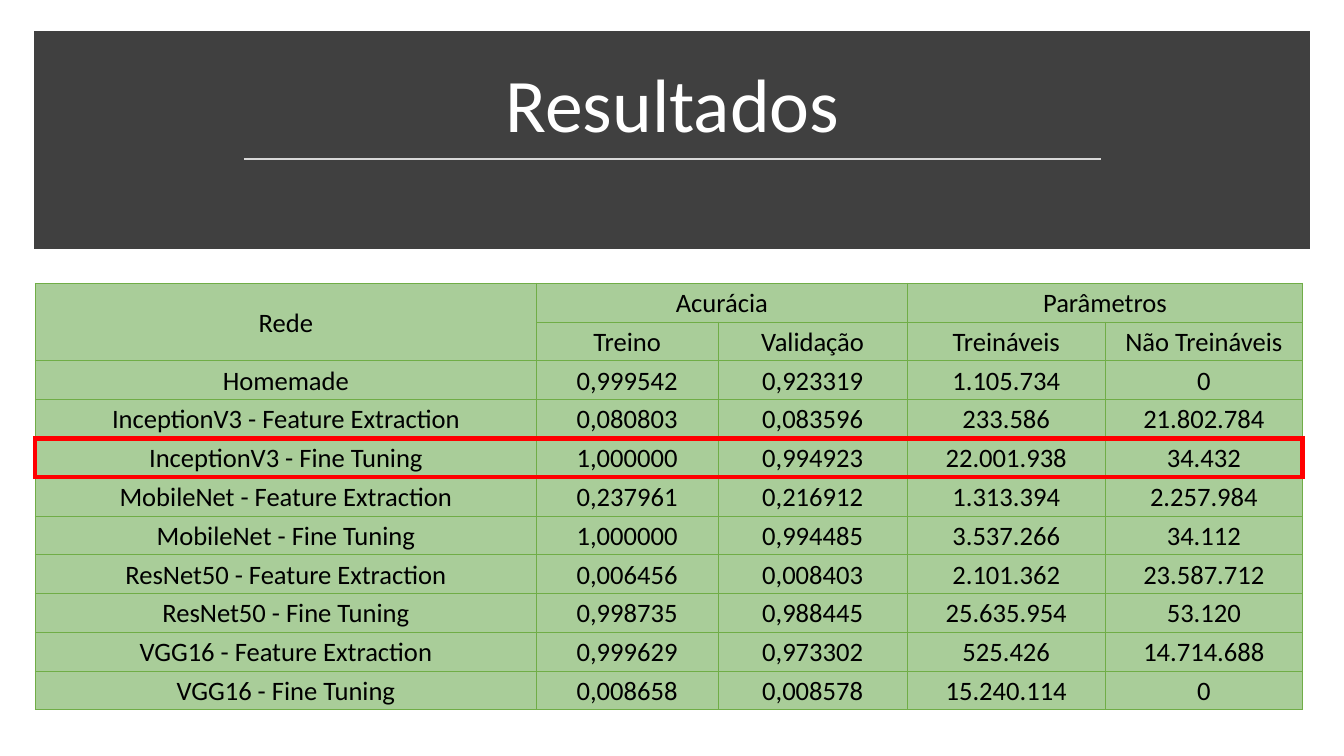
import dataclasses
import typing

import pptx
import pptx.dml.color
import pptx.enum.shapes
import pptx.enum.text
import pptx.oxml
import pptx.oxml.ns
import pptx.shapes.autoshape
import pptx.slide
import pptx.table
import pptx.util

RGBColor = pptx.dml.color.RGBColor
DARK_GRAY = RGBColor(0x40, 0x40, 0x40)
LIGHT_GRAY = RGBColor(0xD9, 0xD9, 0xD9)
WHITE = RGBColor(0xFF, 0xFF, 0xFF)
BLACK = RGBColor(0x00, 0x00, 0x00)
RED = RGBColor(0xFF, 0x00, 0x00)
CELL_GREEN = RGBColor(0xA9, 0xCD, 0x99)
BORDER_GREEN = RGBColor(0x70, 0xAD, 0x47)

FONT = "Calibri"
PX_PER_INCH = 200
TABLE_LEFT, TABLE_TOP = 70, 562
COLUMN_WIDTHS = (994, 360, 376, 392, 392)
ROW_HEIGHT = 77
HIGHLIGHTED_ROW = 4
CELL_MARGIN = 4
BORDER_POINTS = 0.5


class Result(typing.NamedTuple):
    network: str
    training: str
    validation: str
    trainable: str
    frozen: str


class Merge(typing.NamedTuple):
    top: int
    left: int
    bottom: int
    right: int


@dataclasses.dataclass(frozen=True)
class Frame:
    left: int
    top: int
    width: int
    height: int
    line: RGBColor
    line_points: float
    fill: RGBColor | None = None


ROWS = (
    Result("Rede", "Acurácia", "", "Parâmetros", ""),
    Result("", "Treino", "Validação", "Treináveis", "Não Treináveis"),
    Result("Homemade", "0,999542", "0,923319", "1.105.734", "0"),
    Result("InceptionV3 - Feature Extraction", "0,080803", "0,083596", "233.586", "21.802.784"),
    Result("InceptionV3 - Fine Tuning", "1,000000", "0,994923", "22.001.938", "34.432"),
    Result("MobileNet - Feature Extraction", "0,237961", "0,216912", "1.313.394", "2.257.984"),
    Result("MobileNet - Fine Tuning", "1,000000", "0,994485", "3.537.266", "34.112"),
    Result("ResNet50 - Feature Extraction", "0,006456", "0,008403", "2.101.362", "23.587.712"),
    Result("ResNet50 - Fine Tuning", "0,998735", "0,988445", "25.635.954", "53.120"),
    Result("VGG16 - Feature Extraction", "0,999629", "0,973302", "525.426", "14.714.688"),
    Result("VGG16 - Fine Tuning", "0,008658", "0,008578", "15.240.114", "0"),
)
MERGES = (Merge(0, 0, 1, 0), Merge(0, 1, 0, 2), Merge(0, 3, 0, 4))

BAND = Frame(82, 76, 2502, 404, DARK_GRAY, 10, DARK_GRAY)
HIGHLIGHT = Frame(
    TABLE_LEFT,
    TABLE_TOP + HIGHLIGHTED_ROW * ROW_HEIGHT,
    sum(COLUMN_WIDTHS),
    ROW_HEIGHT,
    RED,
    3,
)


def px(length: int) -> pptx.util.Emu:
    return pptx.util.Emu(length * 914400 // PX_PER_INCH)


def format_paragraph(para, points: float, color: RGBColor) -> None:
    para.alignment = pptx.enum.text.PP_ALIGN.CENTER
    para.font.name = FONT
    para.font.size = pptx.util.Pt(points)
    para.font.color.rgb = color


def draw_frame(page: pptx.slide.Slide, frame: Frame) -> pptx.shapes.autoshape.Shape:
    box = page.shapes.add_shape(
        pptx.enum.shapes.MSO_SHAPE.RECTANGLE,
        px(frame.left), px(frame.top), px(frame.width), px(frame.height),
    )
    box.shadow.inherit = False
    if frame.fill is None:
        box.fill.background()
    else:
        box.fill.solid()
        box.fill.fore_color.rgb = frame.fill
    box.line.color.rgb = frame.line
    box.line.width = pptx.util.Pt(frame.line_points)
    outline = box.element.spPr.find(pptx.oxml.ns.qn("a:ln"))
    outline.append(
        pptx.oxml.parse_xml(f'<a:miter {pptx.oxml.ns.nsdecls("a")} lim="800000"/>')
    )
    return box


def draw_heading(page: pptx.slide.Slide) -> None:
    title = page.shapes.title
    title.left, title.top, title.width, title.height = map(px, (116, 102, 2436, 204))
    text = title.text_frame
    text.text = "Resultados"
    text.word_wrap = True
    text.auto_size = pptx.enum.text.MSO_AUTO_SIZE.NONE
    text.vertical_anchor = pptx.enum.text.MSO_ANCHOR.BOTTOM
    para = text.paragraphs[0]
    para.line_spacing = 0.9
    format_paragraph(para, 54, WHITE)

    band = draw_frame(page, BAND)
    title.element.addprevious(band.element)

    rule = page.shapes.add_connector(
        pptx.enum.shapes.MSO_CONNECTOR.STRAIGHT, px(484), px(316), px(2184), px(316)
    )
    rule.line.color.rgb = LIGHT_GRAY
    rule.line.width = pptx.util.Pt(1.75)
    rule.element.spPr.append(
        pptx.oxml.parse_xml(f'<a:effectLst {pptx.oxml.ns.nsdecls("a")}/>')
    )


def fill_cell(cell: pptx.table._Cell, text: str) -> None:
    cell.fill.solid()
    cell.fill.fore_color.rgb = CELL_GREEN
    cell.vertical_anchor = pptx.enum.text.MSO_ANCHOR.MIDDLE
    cell.margin_left = cell.margin_top = cell.margin_right = px(CELL_MARGIN)
    cell.margin_bottom = 0
    cell.text = text
    format_paragraph(cell.text_frame.paragraphs[0], 19, BLACK)


def add_borders(properties) -> None:
    for position, side in enumerate(("lnL", "lnR", "lnT", "lnB")):
        border = pptx.oxml.parse_xml(
            f'<a:{side} {pptx.oxml.ns.nsdecls("a")} w="{pptx.util.Pt(BORDER_POINTS)}">'
            f'<a:solidFill><a:srgbClr val="{BORDER_GREEN}"/></a:solidFill></a:{side}>'
        )
        properties.insert(position, border)


def draw_results(page: pptx.slide.Slide) -> None:
    holder = page.shapes.add_table(
        len(ROWS), len(COLUMN_WIDTHS), px(TABLE_LEFT), px(TABLE_TOP),
        px(sum(COLUMN_WIDTHS)), px(ROW_HEIGHT * len(ROWS)),
    )
    table = holder.table
    table.first_row = table.horz_banding = False
    for column, width in zip(table.columns, COLUMN_WIDTHS):
        column.width = px(width)
    for row, result in zip(table.rows, ROWS):
        row.height = px(ROW_HEIGHT)
        for cell, text in zip(row.cells, result):
            fill_cell(cell, text)
    for merge in MERGES:
        table.cell(merge.top, merge.left).merge(table.cell(merge.bottom, merge.right))
    for properties in holder.element.iter(pptx.oxml.ns.qn("a:tcPr")):
        add_borders(properties)


def main() -> None:
    deck = pptx.Presentation()
    deck.slide_width = pptx.util.Inches(13.33)
    deck.slide_height = pptx.util.Inches(7.5)
    page = deck.slides.add_slide(deck.slide_layouts.get_by_name("Title Only"))
    draw_heading(page)
    draw_results(page)
    draw_frame(page, HIGHLIGHT)
    deck.save("out.pptx")


if __name__ == "__main__":
    main()
